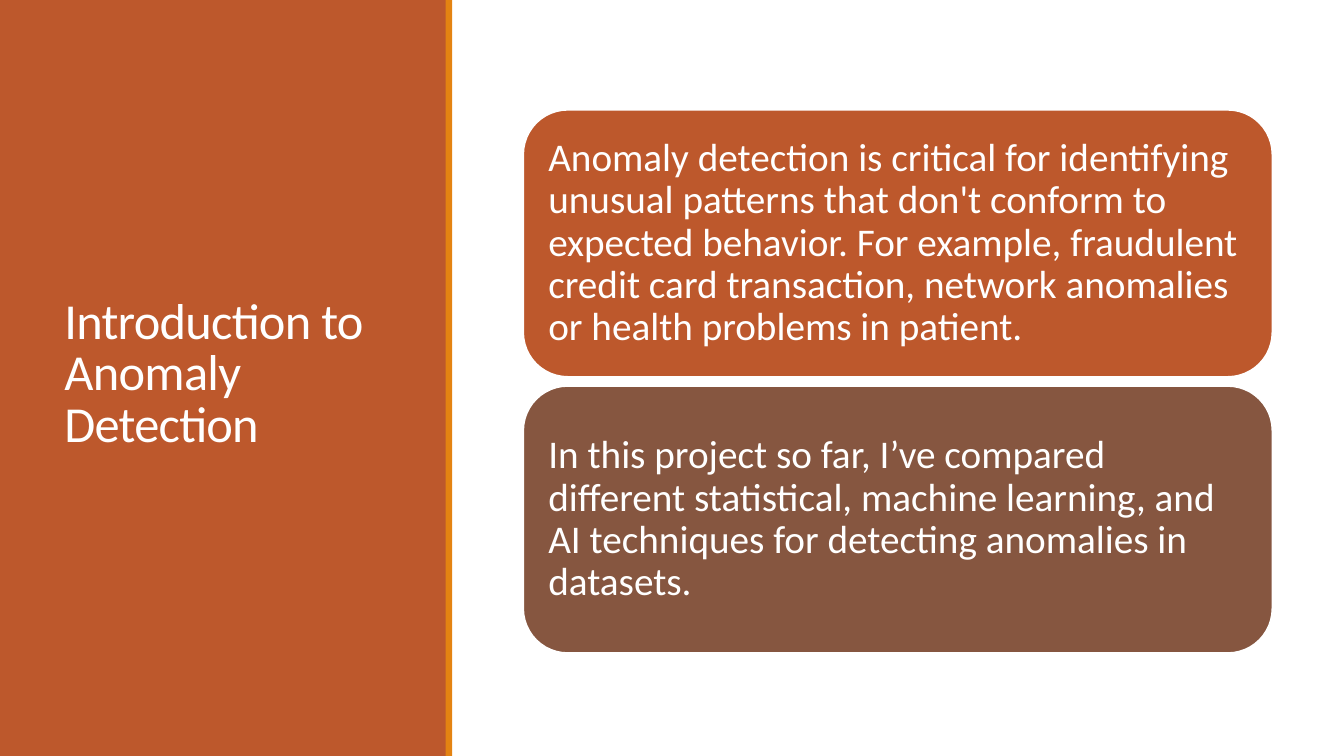
from pptx import Presentation
from pptx.dml.color import RGBColor
from pptx.enum.shapes import MSO_SHAPE
from pptx.enum.text import MSO_ANCHOR, PP_ALIGN
from pptx.util import Inches, Pt

RECT, ROUNDED = MSO_SHAPE.RECTANGLE, MSO_SHAPE.ROUNDED_RECTANGLE
MIDDLE, LEFT = MSO_ANCHOR.MIDDLE, PP_ALIGN.LEFT

COLORS = {"white": "FFFFFF", "rust": "BD582C", "orange": "E48312", "brown": "865640"}
FONT = "Calibri"

CARDS = [
    ("rust", "Anomaly detection is critical for identifying unusual patterns that "
             "don't conform to expected behavior. For example, fraudulent credit card "
             "transaction, network anomalies or health problems in patient."),
    ("brown", "In this project so far, I’ve compared different statistical, machine "
              "learning, and AI techniques for detecting anomalies in datasets."),
]


class Deck:
    """Slide style; positions are percentages of the slide's width and height."""

    def __init__(self):
        self.prs = Presentation()
        self.prs.slide_width, self.prs.slide_height = Inches(13.33), Inches(7.5)
        self.s = self.prs.slides.add_slide(self.prs.slide_layouts[6])

    def color(self, name):
        return RGBColor.from_string(COLORS[name])

    def box(self, x, y, w, h):
        sw, sh = self.prs.slide_width, self.prs.slide_height
        return [round(v * side / 100) for v, side in ((x, sw), (y, sh), (w, sw), (h, sh))]

    def add_text(self, sp, text, size, spacing, inset, tracking=0):
        tf = sp.text_frame
        tf.word_wrap = True
        tf.vertical_anchor = MIDDLE
        tf.margin_left = tf.margin_right = Inches(inset)
        tf.margin_top = tf.margin_bottom = Inches(inset)
        p = tf.paragraphs[0]
        p.alignment, p.line_spacing = LEFT, spacing
        r = p.add_run()
        r.text = text
        r.font.name, r.font.size = FONT, Pt(size)
        r.font.color.rgb = self.color("white")
        if tracking:
            r._r.get_or_add_rPr().set("spc", str(round(tracking * 100)))

    def title(self, box, text):
        sp = self.s.shapes.add_textbox(*self.box(*box))
        self.add_text(sp, text, 36, 0.85, 0.1, tracking=-0.5)

    def shape(self, kind, box, fill):
        sp = self.s.shapes.add_shape(kind, *self.box(*box))
        sp.shadow.inherit = False
        sp.fill.solid()
        sp.fill.fore_color.rgb = self.color(fill)
        sp.line.fill.background()
        return sp

    def card(self, box, fill, text):
        sp = self.shape(ROUNDED, box, fill)
        sp.line.color.rgb = self.color("white")
        sp.line.width = Pt(1.25)
        self.add_text(sp, text, 28, 0.9, 0.12)


def main():
    deck = Deck()

    # Title panel with its accent stripe
    deck.shape(RECT, (0, 0, 33.2, 100), "rust")
    deck.title((4.05, 7.6, 25.28, 84.13), "Introduction to Anomaly Detection")
    deck.shape(RECT, (33.15, 0, 0.5, 100), "orange")

    # Stacked cards
    top, height, gap = 14.53, 35.33, 1.2
    for i, (fill, text) in enumerate(CARDS):
        deck.card((38.93, top + i * (height + gap), 55.74, height), fill, text)

    deck.prs.save("out.pptx")


if __name__ == "__main__":
    main()
